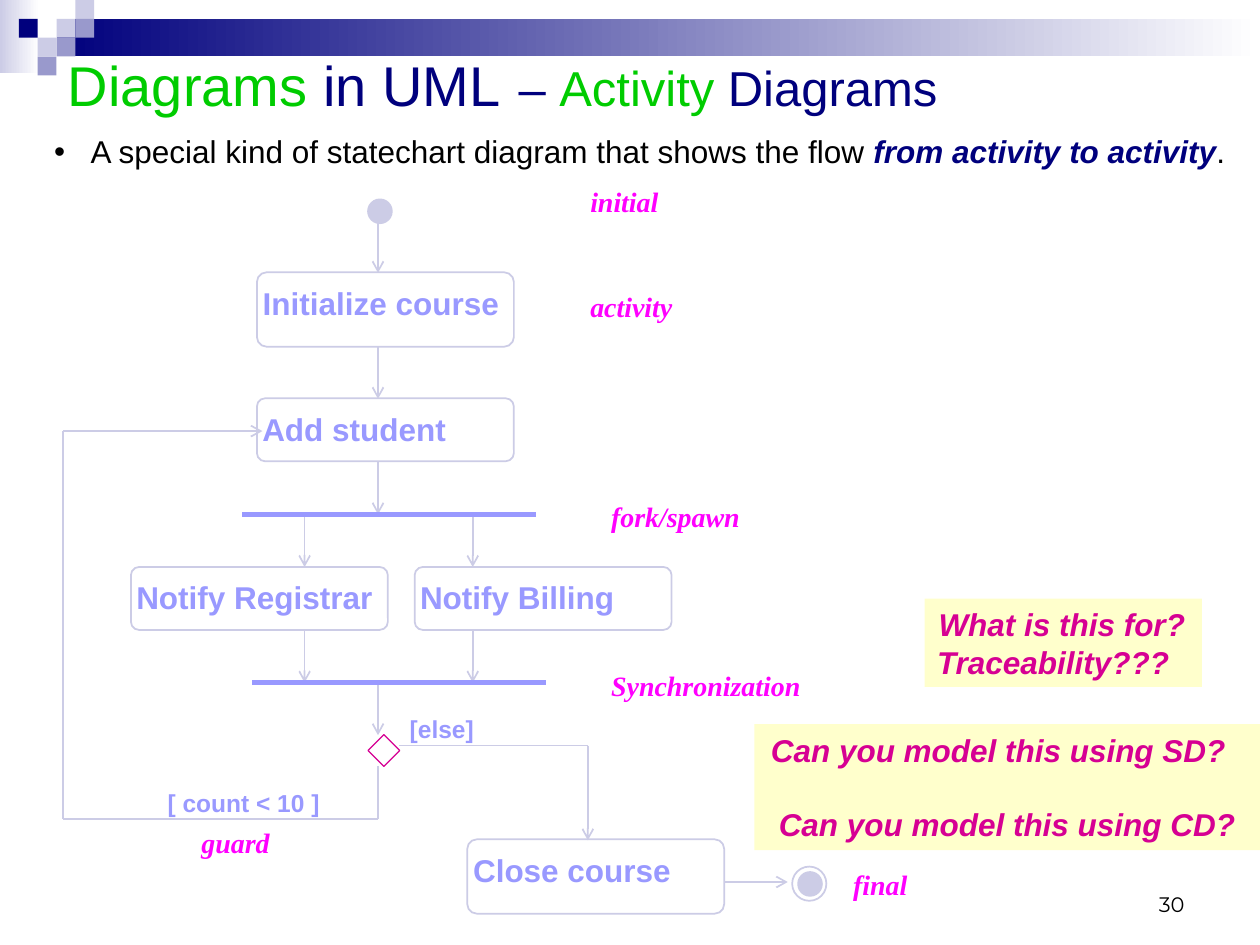
from lxml.etree import SubElement
from pptx import Presentation
from pptx.dml.color import RGBColor
from pptx.enum.shapes import MSO_CONNECTOR, MSO_SHAPE
from pptx.enum.text import MSO_ANCHOR, MSO_AUTO_SIZE, PP_ALIGN
from pptx.oxml.ns import qn
from pptx.util import Cm, Pt

NAVY, GREEN, BLACK, WHITE = "00007D", "00CC00", "000000", "FFFFFF"
PALE, MIDDLE, VIOLET = "CCCCE6", "9999CC", "9999FF"
PINK, MAGENTA, CREAM = "FF00FF", "D60093", "FFFFCC"

TILE = 0.38
GRADIENTS = [((0, 0, 0.79, 1.47), PALE), ((1.14, TILE, 24.26, 0.76), NAVY)]
TILES = [(3, 1, PALE), (4, 0, PALE), (4, 1, MIDDLE), (2, 2, PALE),
         (1, 1, NAVY), (3, 2, MIDDLE), (2, 3, MIDDLE)]

TITLE = [("Diagrams", 32, GREEN), (" in UML", 32, NAVY), (" ", 36, NAVY),
         ("– ", 28, NAVY), ("Activity", 28, GREEN), (" Diagrams", 28, NAVY)]
INTRO = [("A special kind of statechart diagram that shows the flow ", BLACK, False),
         ("from activity to activity", NAVY, True), (".", BLACK, False)]

STEM, LEFT_BRANCH, RIGHT_BRANCH, LOOP, EXIT = 7.62, 6.14, 9.53, 1.27, 11.85
FORK, JOIN, GUARD, BACK = 10.37, 13.76, 15.03, 16.51
ACTIVITIES = [("Initialize course", 5.18, 5.49, 1.5), ("Add student", 5.18, 8.03, 1.27),
              ("Notify Registrar", 2.64, 11.43, 1.27), ("Notify Billing", 8.36, 11.43, 1.27),
              ("Close course", 9.42, 16.92, 1.5)]
BARS = [(4.88, FORK), (5.08, JOIN)]
BAR_WIDTH = 5.92
ARROWS = [(STEM, 4.45, STEM, 5.5), (STEM, 6.99, STEM, 8.04), (STEM, 9.31, STEM, FORK),
          (LEFT_BRANCH, FORK, LEFT_BRANCH, 11.43), (RIGHT_BRANCH, FORK, RIGHT_BRANCH, 11.43),
          (LEFT_BRANCH, 12.7, LEFT_BRANCH, JOIN), (RIGHT_BRANCH, 12.7, RIGHT_BRANCH, JOIN),
          (STEM, JOIN, STEM, 14.82), (EXIT, GUARD, EXIT, 16.94),
          (LOOP, 8.69, 5.29, 8.69), (14.61, 17.78, 15.88, 17.78)]
LINES = [(8.05, GUARD, EXIT, GUARD), (STEM, 15.45, STEM, BACK),
         (STEM, BACK, LOOP, BACK), (LOOP, 8.69, LOOP, BACK)]
NODES = [(MSO_SHAPE.OVAL, 7.42, 4.02, 0.48, PALE, PALE, 1),
         (MSO_SHAPE.OVAL, 15.97, 17.47, 0.69, None, PALE, 1),
         (MSO_SHAPE.OVAL, 16.09, 17.58, 0.48, PALE, PALE, 1),
         (MSO_SHAPE.DIAMOND, 7.42, 14.81, 0.64, WHITE, MAGENTA, 0.75)]
GUARDS = [("[else]", 8.26, 14.4, 1.3), ("[ count < 10 ]", 3.38, 15.88, 3.07)]
NOTES = [("initial", 11.65, 3.6, 1.88), ("activity", 11.65, 5.71, 2.16),
         ("fork/spawn", 12.07, 9.95, 3.1), ("Synchronization", 12.07, 13.34, 4.32),
         ("guard", 3.81, 16.51, 1.88), ("final", 16.95, 17.35, 1.6)]
CALLOUTS = [((18.64, 12.07, 5.59, 1.78), 0, [("What is this for?", 0.03), ("Traceability???", 0)]),
            ((15.21, 14.6, 10.19, 2.54), 21,
             [("Can you model this using SD?", 0.08), ("Can you model this using CD?", 0.24)])]


def color(value):
    return RGBColor.from_string(value)


def add_span(para, text, size, ink, bold=False, italic=False, font="Arial"):
    span = para.add_run()
    span.text = text
    span.font.name, span.font.size = font, Pt(size)
    span.font.bold, span.font.italic = bold, italic
    span.font.color.rgb = color(ink)


def set_frame(frame, left=0.25, top=0.13, wrap=True, anchor=MSO_ANCHOR.TOP):
    frame.margin_left = frame.margin_right = Cm(left)
    frame.margin_top = frame.margin_bottom = Cm(top)
    frame.word_wrap, frame.vertical_anchor = wrap, anchor
    frame.auto_size = MSO_AUTO_SIZE.NONE
    frame.paragraphs[0].alignment = PP_ALIGN.LEFT
    return frame.paragraphs[0]


def add_box(page, place, **frame_options):
    box = page.shapes.add_textbox(*map(Cm, place))
    return set_frame(box.text_frame, **frame_options)


def add_figure(page, kind, place, fill=None, outline=None, width=1):
    shape = page.shapes.add_shape(kind, *map(Cm, place))
    shape.shadow.inherit = False
    if fill:
        shape.fill.solid()
        shape.fill.fore_color.rgb = color(fill)
    else:
        shape.fill.background()
    if outline:
        shape.line.color.rgb = color(outline)
        shape.line.width = Pt(width)
    else:
        shape.line.fill.background()
    return shape


def add_line(page, ends, ink=PALE, width=1, arrow=False):
    line = page.shapes.add_connector(MSO_CONNECTOR.STRAIGHT, *map(Cm, ends))
    line.line.color.rgb = color(ink)
    line.line.width = Pt(width)
    if arrow:
        SubElement(line.line._get_or_add_ln(), qn("a:tailEnd"), type="arrow")
    SubElement(line._element.spPr, qn("a:effectLst"))


def add_header(page):
    for place, start in GRADIENTS:
        band = add_figure(page, MSO_SHAPE.RECTANGLE, place)
        band.fill.gradient()
        band.fill.gradient_angle = 0
        for stop, tone in zip(band.fill.gradient_stops, (start, WHITE)):
            stop.color.rgb = color(tone)
    for column, row, tone in TILES:
        add_figure(page, MSO_SHAPE.RECTANGLE, (column * TILE, row * TILE, TILE, TILE), tone)

    title = page.shapes.title
    title.left, title.top, title.width, title.height = map(Cm, (1.12, 0.64, 21.59, 1.9))
    para = set_frame(title.text_frame, anchor=MSO_ANCHOR.BOTTOM)
    for text, size, ink in TITLE:
        add_span(para, text, size, ink)
    title._element.getparent().append(title._element)

    para = add_box(page, (0.84, 2.54, 24.56, 1.02))
    for text, ink, strong in INTRO:
        add_span(para, text, 18, ink, strong, strong)
    properties = para._p.get_or_add_pPr()
    properties.set("marL", str(Cm(0.74)))
    properties.set("indent", str(-Cm(0.74)))
    SubElement(properties, qn("a:buFont"), typeface="Arial")
    SubElement(properties, qn("a:buChar"), char="•")

    para = add_box(page, (18.21, 17.35, 5.92, 1.27), anchor=MSO_ANCHOR.BOTTOM)
    para.alignment = PP_ALIGN.RIGHT
    add_span(para, "30", 12, BLACK, font="Montserrat")


def add_diagram(page):
    for text, left, top, height in ACTIVITIES:
        shape = add_figure(page, MSO_SHAPE.ROUNDED_RECTANGLE, (left, top, 5.18, height), None, PALE)
        shape.adjustments[0] = 0.13
        para = set_frame(shape.text_frame, left=0.06, top=0.18, wrap=False)
        add_span(para, text, 18, VIOLET, bold=True)
    for ends in LINES:
        add_line(page, ends)
    for ends in ARROWS:
        add_line(page, ends, arrow=True)
    for left, top in BARS:
        add_line(page, (left, top, left + BAR_WIDTH, top), VIOLET, 3)
    for kind, left, top, size, fill, outline, width in NODES:
        add_figure(page, kind, (left, top, size, size), fill, outline, width)
    for text, left, top, width in GUARDS:
        para = add_box(page, (left, top, width, 0.58), left=0, top=0, wrap=False)
        add_span(para, text, 14, VIOLET, bold=True)


def add_remarks(page):
    for text, left, top, width in NOTES:
        para = add_box(page, (left, top, width, 0.94), wrap=False)
        add_span(para, text, 16, PINK, True, True, "Times New Roman")
    for place, gap, texts in CALLOUTS:
        shape = add_figure(page, MSO_SHAPE.RECTANGLE, place, CREAM)
        para = set_frame(shape.text_frame)
        for number, (text, indent) in enumerate(texts):
            if number:
                para = shape.text_frame.add_paragraph()
                para.alignment = PP_ALIGN.LEFT
                para.space_before = Pt(gap)
            para._p.get_or_add_pPr().set("marL", str(Cm(indent)))
            add_span(para, text, 18, MAGENTA, True, True)


def main():
    """Build the activity diagram slide."""
    deck = Presentation()
    deck.slide_width, deck.slide_height = Cm(25.4), Cm(19.05)
    page = deck.slides.add_slide(deck.slide_layouts[5])
    add_header(page)
    add_diagram(page)
    add_remarks(page)
    deck.save("out.pptx")


main()
